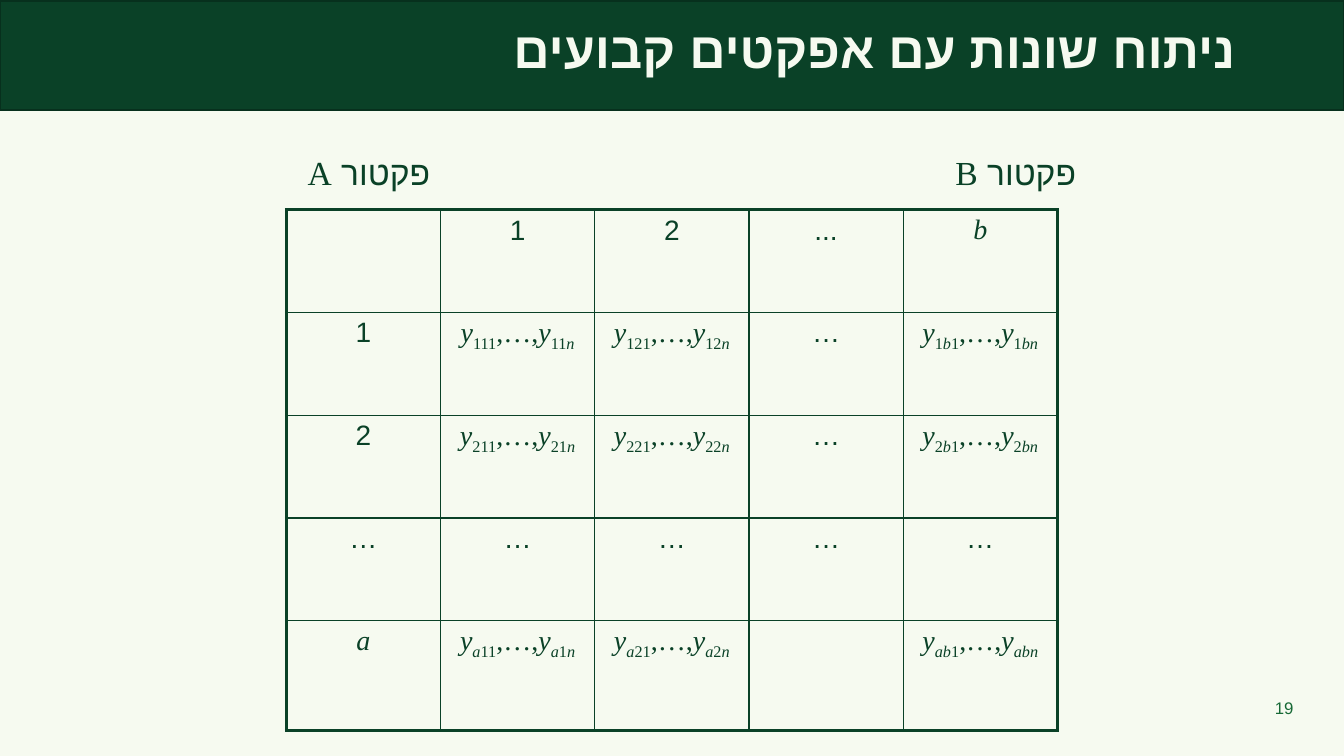
from dataclasses import dataclass
from itertools import groupby

from lxml import etree
from pptx import Presentation
from pptx.dml.color import RGBColor
from pptx.enum import shapes, text
from pptx.oxml import ns
from pptx.util import Pt

GREEN, EDGE, CREAM, NUMBER = "0A4127", "07301D", "F6FAF0", "176936"
ROWS = ["", "1", "2", "…", "a"]
COLS = ["", "1", "2", "…", "b"]
COL_WIDTH, ROW_HEIGHT, LAST_ROW_HEIGHT = 110.16, 73.44, 78.5
THIN, THICK = 1, 2.25


@dataclass
class Label:
    text: str
    left: float
    top: float
    width: float
    height: float
    size: float
    font: str
    color: str
    rtl: bool


LABELS = [
    Label("פקטור B", 635.7, 92.9, 140, 59.8, 24, "Times New Roman", GREEN, True),
    Label("פקטור A", 174.3, 92.9, 140, 59.8, 24, "Times New Roman", GREEN, True),
    Label("19", 893.5, 491, 37.5, 28.8, 12, "Arial", NUMBER, False),
]


def rgb(color: str) -> RGBColor:
    return RGBColor.from_string(color)


def format_paragraph(p, size: float, font: str, color: str, align, rtl: bool = True) -> None:
    p.alignment = align
    if rtl:
        p._p.get_or_add_pPr().set("rtl", "1")
    p.font.size = Pt(size)
    p.font.name = font
    p.font.color.rgb = rgb(color)
    # Hebrew and leading digits use the complex-script font
    cs = etree.SubElement(p.font._element, ns.qn("a:cs"))
    cs.set("typeface", "Arial")


def add_label(s, label: Label) -> None:
    box = s.shapes.add_textbox(Pt(label.left), Pt(label.top), Pt(label.width), Pt(label.height))
    tf = box.text_frame
    tf.word_wrap = True
    tf.vertical_anchor = text.MSO_ANCHOR.MIDDLE
    p = tf.paragraphs[0]
    p.text = label.text
    format_paragraph(p, label.size, label.font, label.color, text.PP_ALIGN.RIGHT, label.rtl)


def add_run(p, content: str, subscript: bool = False) -> None:
    r = p.add_run()
    r.text = content
    r.font.italic = content.isalpha()
    if subscript:
        r._r.get_or_add_rPr().set("baseline", "-25000")


def add_observation(p, index: str) -> None:
    add_run(p, "y")
    for _, group in groupby(index, str.isalpha):
        add_run(p, "".join(group), subscript=True)


def fill_cell(p, row: str, col: str) -> None:
    if row and col:
        if "…" in (row, col):
            add_run(p, "…")
        else:
            add_observation(p, f"{row}{col}1")
            add_run(p, ",…,")
            add_observation(p, f"{row}{col}n")
    else:
        add_run(p, "..." if col == "…" else row or col)
    format_paragraph(p, 20, "Times New Roman", GREEN, text.PP_ALIGN.CENTER)


def set_borders(cell, widths: dict[str, float]) -> None:
    tcPr = cell._tc.get_or_add_tcPr()
    for position, (side, width) in enumerate(widths.items()):
        ln = etree.Element(ns.qn(f"a:ln{side}"), w=str(Pt(width)))
        solid = etree.SubElement(ln, ns.qn("a:solidFill"))
        etree.SubElement(solid, ns.qn("a:srgbClr"), val=GREEN)
        tcPr.insert(position, ln)


def add_design_table(s) -> None:
    n_rows, n_cols = len(ROWS), len(COLS)
    frame = s.shapes.add_table(n_rows, n_cols, Pt(204.5), Pt(149.8), Pt(COL_WIDTH * n_cols),
                               Pt(ROW_HEIGHT * (n_rows - 1) + LAST_ROW_HEIGHT))
    table = frame.table
    table.first_row = table.horz_banding = False
    for column in table.columns:
        column.width = Pt(COL_WIDTH)
    for i, row in enumerate(ROWS):
        last_row = i == n_rows - 1
        table.rows[i].height = Pt(LAST_ROW_HEIGHT if last_row else ROW_HEIGHT)
        for j, col in enumerate(COLS):
            cell = table.cell(i, j)
            cell.fill.background()
            set_borders(cell, {
                "L": THICK if j == 0 else THIN,
                "R": THICK if j == n_cols - 1 else THIN,
                "T": THICK if i == 0 else THIN,
                "B": THICK if last_row else THIN,
            })
            if (row or col) and (row, col) != ("a", "…"):
                fill_cell(cell.text_frame.paragraphs[0], row, col)


def main() -> None:
    prs = Presentation()
    prs.slide_width, prs.slide_height = Pt(960), Pt(540)
    s = prs.slides.add_slide(prs.slide_layouts[5])
    s.background.fill.solid()
    s.background.fill.fore_color.rgb = rgb(CREAM)

    # Title over its band
    title = s.shapes.title
    title.left, title.top, title.width, title.height = Pt(309.6), Pt(0.7), Pt(580.3), Pt(77.8)
    tf = title.text_frame
    tf.word_wrap = True
    tf.auto_size = text.MSO_AUTO_SIZE.NONE
    tf.vertical_anchor = text.MSO_ANCHOR.MIDDLE
    p = tf.paragraphs[0]
    p.text = "ניתוח שונות עם אפקטים קבועים"
    p.line_spacing = 0.7
    format_paragraph(p, 36, "Arial", CREAM, text.PP_ALIGN.RIGHT)
    p.font.bold = True

    band = s.shapes.add_shape(shapes.MSO_SHAPE.RECTANGLE, 0, Pt(0.7), Pt(960), Pt(77.8))
    band.shadow.inherit = False
    band.fill.solid()
    band.fill.fore_color.rgb = rgb(GREEN)
    band.line.color.rgb = rgb(EDGE)
    band.line.width = Pt(1)
    title._element.addprevious(band._element)

    # Factor names and page number
    for label in LABELS:
        add_label(s, label)

    # Two-factor design
    add_design_table(s)
    prs.save("out.pptx")


if __name__ == "__main__":
    main()
